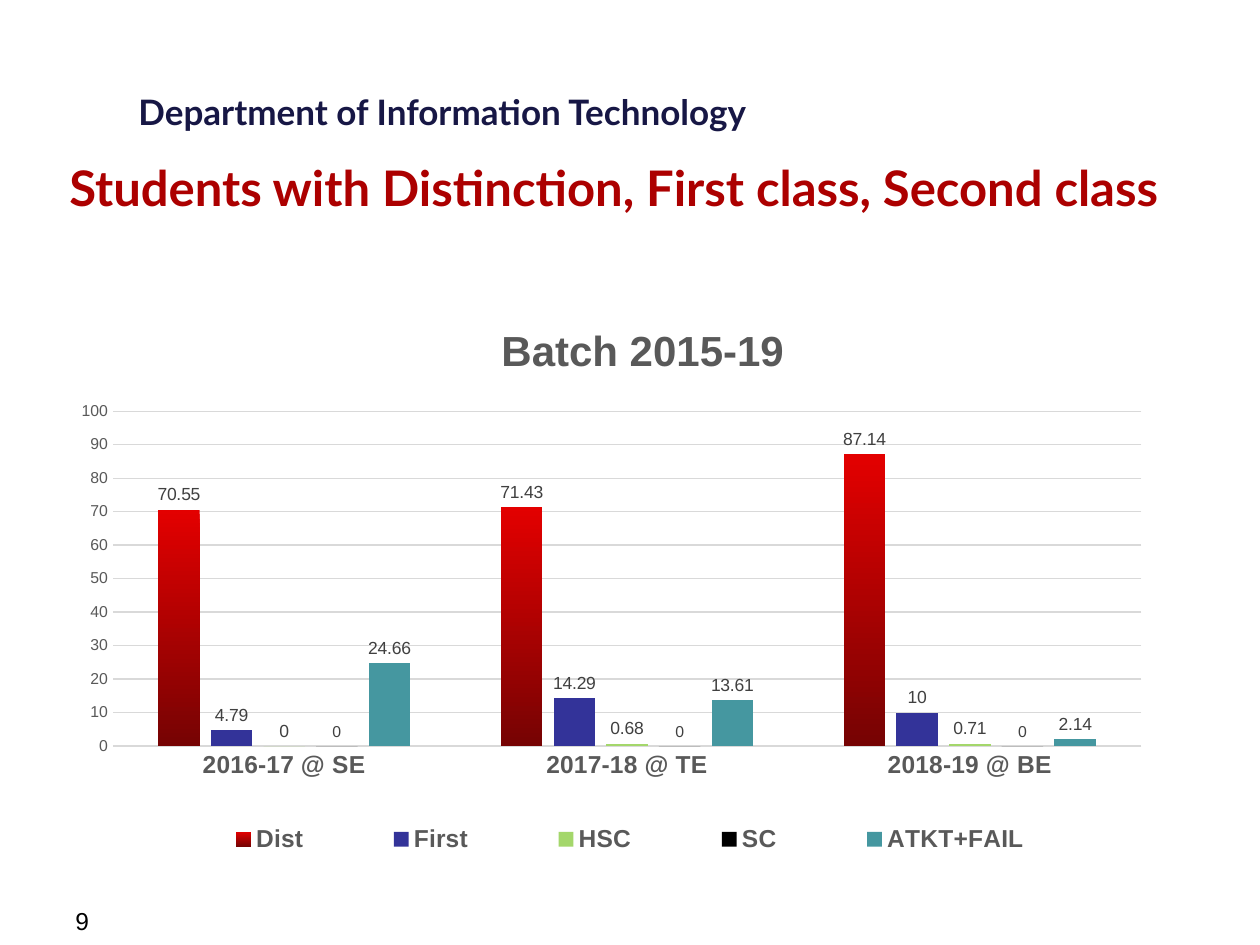
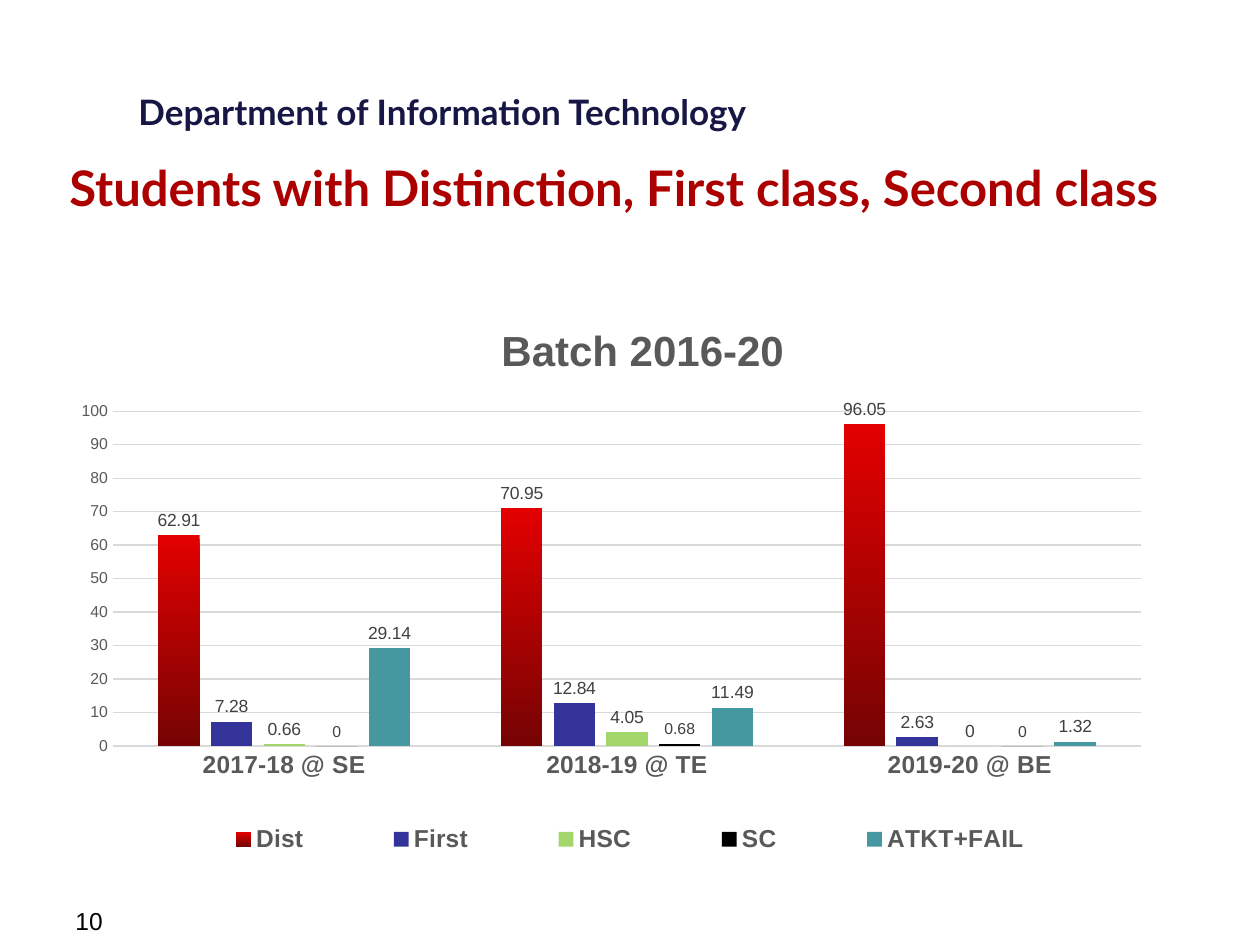
from lxml import etree
from pptx import Presentation
from pptx import util as u
from pptx.chart.data import CategoryChartData
from pptx.dml.color import RGBColor
from pptx.enum import chart as ch, text
from pptx.oxml.ns import qn

PX = 914400 / 126  # EMU in one px

NAVY = RGBColor(0x17, 0x17, 0x45)
CRIMSON = RGBColor(0xAC, 0x00, 0x00)
BLACK = RGBColor(0x00, 0x00, 0x00)
GREY = RGBColor(0x59, 0x59, 0x59)
LABEL_GREY = RGBColor(0x40, 0x40, 0x40)
GRID_GREY = RGBColor(0xD9, 0xD9, 0xD9)
RED_TOP = RGBColor(0xE3, 0x00, 0x00)
RED_BOTTOM = RGBColor(0x76, 0x03, 0x03)
BLUE = RGBColor(0x33, 0x33, 0x99)
GREEN = RGBColor(0xA4, 0xD7, 0x6B)
TEAL = RGBColor(0x45, 0x97, 0xA0)

# Boxes in px: left, top, width, height
HEADER = (126, 84, 674, 55)
TITLE = (21, 151, 1197, 60)
CHART = (63, 273, 1134, 609)
NUMBER = (63, 900, 294, 34)

# Each result class: name, fill (two colours make a gradient), label size
CLASSES = [
    ("Dist", (RED_TOP, RED_BOTTOM), 10),
    ("First", (BLUE,), 10),
    ("HSC", (GREEN,), 10),
    ("SC", (BLACK,), 9),
    ("ATKT+FAIL", (TEAL,), 10),
]

# Each batch: slide number, first year, percentages by class
BATCHES = [
    (9, 2015, [(70.55, 71.43, 87.14), (4.79, 14.29, 10), (0, 0.68, 0.71),
               (0, 0, 0), (24.66, 13.61, 2.14)]),
    (10, 2016, [(62.91, 70.95, 96.05), (7.28, 12.84, 2.63), (0.66, 4.05, 0),
                (0, 0.68, 0), (29.14, 11.49, 1.32)]),
]


def emu(box):
    return [round(v * PX) for v in box]


def style(font, size, color, bold=False, name="Arial"):
    font.size = u.Pt(size)
    font.color.rgb = color
    font.bold = bold
    font.name = name


def add_text(slide, box, words, *look):
    sp = slide.shapes.add_textbox(*emu(box))
    tf = sp.text_frame
    tf.word_wrap = True
    r = tf.paragraphs[0].add_run()
    r.text = words
    style(r.font, *look)
    return sp


def set_layout(chart, tag, index, **values):
    """Give a chart part a manual layout in fractions of the chart."""
    part = chart.element.find(".//" + qn(tag))
    for old in part.findall(qn("c:layout")):
        part.remove(old)
    layout = etree.Element(qn("c:layout"))
    manual = etree.SubElement(layout, qn("c:manualLayout"))
    if tag == "c:plotArea":
        etree.SubElement(manual, qn("c:layoutTarget"), val="inner")
    for key in ("x", "y"):
        etree.SubElement(manual, qn(f"c:{key}Mode"), val="edge")
    for key, value in values.items():
        etree.SubElement(manual, qn(f"c:{key}"), val=str(value))
    part.insert(index, layout)


def add_title(slide):
    sp = slide.shapes.title
    sp.left, sp.top, sp.width, sp.height = emu(TITLE)
    tf = sp.text_frame
    tf.vertical_anchor = text.MSO_ANCHOR.TOP
    tf.auto_size = text.MSO_AUTO_SIZE.NONE
    p = tf.paragraphs[0]
    p.alignment = text.PP_ALIGN.CENTER
    r = p.add_run()
    r.text = "Students with Distinction, First class, Second class "
    style(r.font, 28, CRIMSON, True, "Lato")


def format_axes(chart):
    for axis, size, bold in ((chart.category_axis, 14, True),
                             (chart.value_axis, 9, False)):
        axis.major_tick_mark = axis.minor_tick_mark = ch.XL_TICK_MARK.NONE
        style(axis.tick_labels.font, size, GREY, bold)
    values = chart.value_axis
    values.minimum_scale, values.maximum_scale = 0, 100
    values.major_unit = 10
    values.format.line.fill.background()
    for line in (chart.category_axis.format.line,
                 values.major_gridlines.format.line):
        line.color.rgb = GRID_GREY
        line.width = u.Pt(0.75)


def format_series(series, colors, label_size):
    series.invert_if_negative = False
    fill = series.format.fill
    if len(colors) > 1:
        fill.gradient()
        fill.gradient_angle = 270
        for stop, color in zip(fill.gradient_stops, colors):
            stop.color.rgb = color
    else:
        fill.solid()
        fill.fore_color.rgb = colors[0]
    labels = series.data_labels
    labels.show_value = True
    labels.position = ch.XL_LABEL_POSITION.OUTSIDE_END
    style(labels.font, label_size, LABEL_GREY)


def add_results_chart(slide, start, results):
    data = CategoryChartData()
    data.categories = [f"{start + n}-{(start + n + 1) % 100} @ {year}"
                       for n, year in enumerate(("SE", "TE", "BE"), 1)]
    for (name, _, _), values in zip(CLASSES, results):
        data.add_series(name, values)
    chart = slide.shapes.add_chart(
        ch.XL_CHART_TYPE.COLUMN_CLUSTERED, *emu(CHART), data).chart
    style(chart.font, 10, BLACK)

    # Chart title
    p = chart.chart_title.text_frame.paragraphs[0]
    r = p.add_run()
    r.text = f"Batch {start}-{(start + 4) % 100}"
    style(r.font, 24, GREY, True)
    set_layout(chart, "c:title", 1, x=0.38, y=0.07)

    # Columns
    plot = chart.plots[0]
    plot.vary_by_categories = False
    plot.gap_width, plot.overlap = 219, -27
    for series, (_, colors, label_size) in zip(plot.series, CLASSES):
        format_series(series, colors, label_size)
    format_axes(chart)
    set_layout(chart, "c:plotArea", 0, x=0.044, y=0.227, w=0.907, h=0.55)

    # Legend, spread under the columns
    chart.has_legend = True
    chart.legend.position = ch.XL_LEGEND_POSITION.RIGHT
    chart.legend.include_in_layout = False
    style(chart.legend.font, 14, GREY, True)
    set_layout(chart, "c:legend", 1, x=0.08, y=0.89, w=0.84, h=0.08)


def add_batch_slide(prs, layout, number, start, results):
    slide = prs.slides.add_slide(layout)
    add_title(slide)
    add_text(slide, NUMBER, str(number), 14, BLACK)
    add_results_chart(slide, start, results)
    return slide


def main():
    prs = Presentation()
    prs.slide_width, prs.slide_height = emu((1260, 945))
    layout = prs.slide_layouts[5]
    slides = [add_batch_slide(prs, layout, *batch) for batch in BATCHES]

    # The department header belongs to the shared layout
    header = add_text(slides[0], HEADER, "Department of Information Technology",
                      20, NAVY, True, "Lato")
    layout.shapes.element.append(header.element)
    prs.save("out.pptx")


if __name__ == "__main__":
    main()
